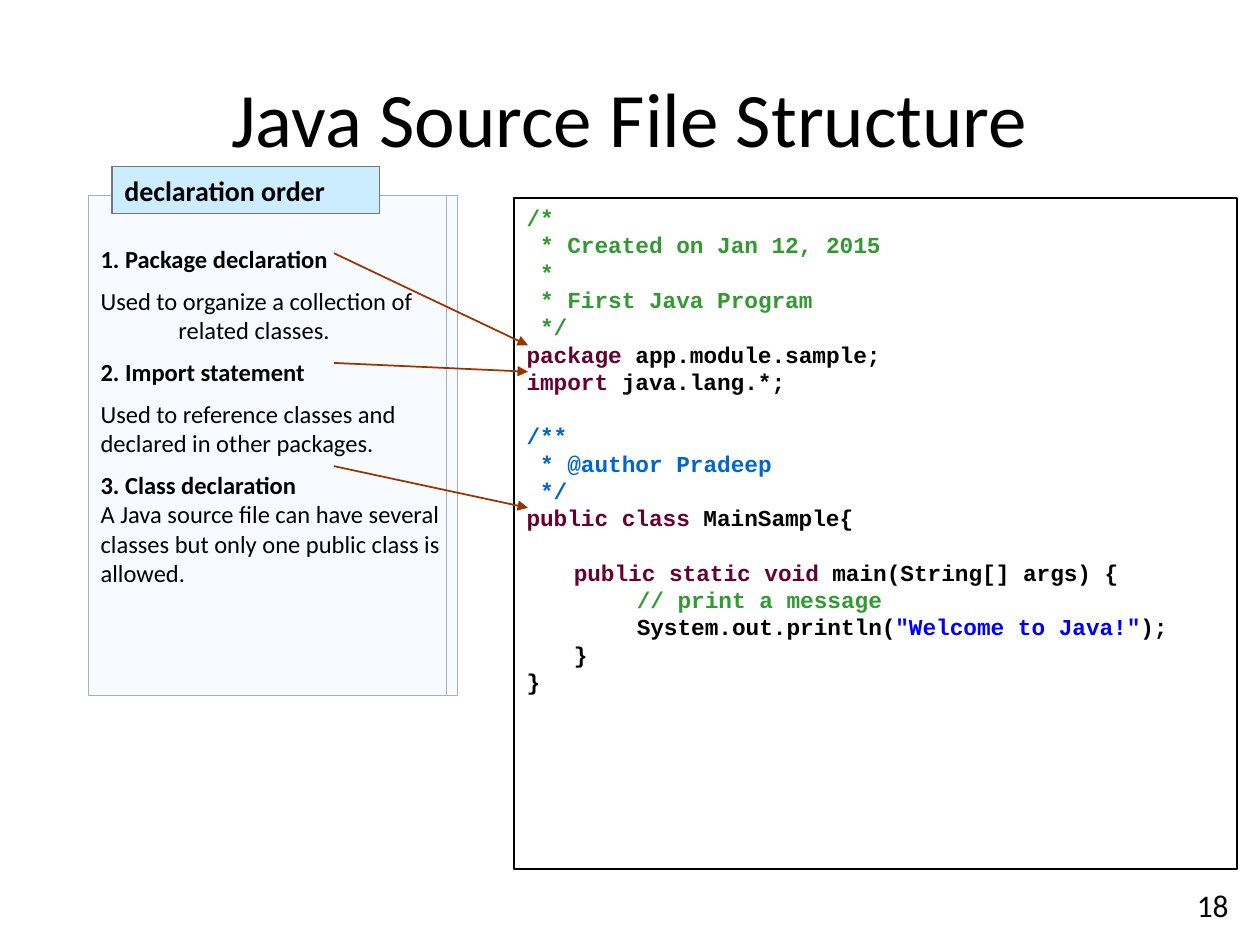
from dataclasses import dataclass

import lxml.etree
import pptx
import pptx.dml.color
import pptx.enum.shapes
import pptx.enum.text
import pptx.oxml.ns
import pptx.util

Pt = pptx.util.Pt
RGB = pptx.dml.color.RGBColor
Shape = pptx.enum.shapes.MSO_SHAPE
Align = pptx.enum.text.PP_ALIGN
Anchor = pptx.enum.text.MSO_ANCHOR
qn = pptx.oxml.ns.qn

BLACK = RGB(0x00, 0x00, 0x00)
GREEN = RGB(0x33, 0x99, 0x33)
PLUM = RGB(0x66, 0x00, 0x33)
AZURE = RGB(0x00, 0x66, 0xCC)
BLUE = RGB(0x00, 0x00, 0xFF)
PALE = RGB(0xF7, 0xFB, 0xFF)
SKY = RGB(0xCC, 0xEC, 0xFF)
LILAC = RGB(0xA6, 0xAD, 0xC4)
GREY = RGB(0x77, 0x77, 0x77)
RUST = RGB(0x99, 0x33, 0x00)

BODY_FONT, CODE_FONT = "Calibri", "Courier New"
CODE_PITCH = 15.6
ARROW_START, ARROW_END = 190.8, 301.7


@dataclass
class Span:
    text: str
    color: RGB = BLACK
    bold: bool = True


@dataclass
class Line:
    spans: list[Span]
    before: float = 0
    left: float = 0
    hanging: float = 0


@dataclass
class Panel:
    kind: Shape
    frame: tuple[float, float, float, float]
    fill: RGB | None
    outline: RGB
    weight: float


def code(*spans: Span, gap: bool = False) -> Line:
    return Line(list(spans), CODE_PITCH if gap else 0, 27, 27)


def note(text: str, bold: bool = False, before: float = 7, left: float = 0) -> Line:
    return Line([Span(text, bold=bold)], before, left)


def add_panel(page, panel: Panel):
    box = page.shapes.add_shape(panel.kind, *map(Pt, panel.frame))
    box.shadow.inherit = False
    if panel.fill is None:
        box.fill.background()
    else:
        box.fill.solid()
        box.fill.fore_color.rgb = panel.fill
    box.line.color.rgb = panel.outline
    box.line.width = Pt(panel.weight)
    return box


def write(box, lines: list[Line], font: str, size: float, align=Align.LEFT,
          anchor=Anchor.TOP, pitch: float | None = None) -> None:
    frame = box.text_frame
    frame.word_wrap = True
    frame.vertical_anchor = anchor
    for index, line in enumerate(lines):
        para = frame.paragraphs[0] if index == 0 else frame.add_paragraph()
        para.alignment = align
        para.space_before = Pt(line.before)
        if pitch:
            para.line_spacing = Pt(pitch)
        properties = para._p.get_or_add_pPr()
        properties.set("marL", str(Pt(line.left)))
        properties.set("indent", str(-Pt(line.hanging)))
        for span in line.spans:
            run = para.add_run()
            run.text = span.text
            run.font.color.rgb = span.color
            formats = {"name": font, "size": Pt(size), "bold": span.bold}
            for name, value in formats.items():
                setattr(run.font, name, value)


def add_arrow(page, start_y: float, end_y: float) -> None:
    arrow = page.shapes.add_connector(
        pptx.enum.shapes.MSO_CONNECTOR.STRAIGHT,
        Pt(ARROW_START), Pt(start_y), Pt(ARROW_END), Pt(end_y))
    arrow.line.color.rgb = RUST
    arrow.line.width = Pt(1)
    lxml.etree.SubElement(arrow.line._get_or_add_ln(), qn("a:tailEnd"), type="triangle")
    lxml.etree.SubElement(arrow._element.spPr, qn("a:effectLst"))


CODE = [
    code(Span("/*", GREEN)),
    code(Span(" * Created on Jan 12, 2015", GREEN)),
    code(Span(" *", GREEN)),
    code(Span(" * First Java Program", GREEN)),
    code(Span(" */", GREEN)),
    code(Span("package", PLUM), Span(" app.module.sample;")),
    code(Span("import", PLUM), Span(" java.lang.*;")),
    code(Span("/**", AZURE), gap=True),
    code(Span(" * @author Pradeep", AZURE)),
    code(Span(" */", AZURE)),
    code(Span("public class", PLUM), Span(" MainSample{")),
    code(Span("\tpublic static void", PLUM), Span(" main(String[] args) {"), gap=True),
    code(Span("\t\t// print a message", GREEN)),
    code(Span("\t\tSystem.out.println("), Span('"Welcome to Java!"', BLUE), Span(");")),
    code(Span("\t}")),
    code(Span("}")),
]

NOTES = [
    note("1. Package declaration", bold=True, before=0),
    note("Used to organize a collection of"),
    note("related classes.", before=0, left=44.5),
    note("2. Import statement", bold=True),
    note("Used to reference classes and declared in other packages."),
    note("3. Class declaration", bold=True),
    note("A Java source file can have several classes but only one public class is allowed.",
         before=0),
]


def main() -> None:
    deck = pptx.Presentation()
    deck.slide_width, deck.slide_height = Pt(720), Pt(540)
    page = deck.slides.add_slide(deck.slide_layouts[5])

    # Title
    title = page.shapes.title
    title_frame = {"left": 36, "top": 21.6, "width": 648, "height": 90}
    for name, value in title_frame.items():
        setattr(title, name, Pt(value))
    write(title, [note("Java Source File Structure", before=0)], BODY_FONT, 44,
          Align.CENTER, Anchor.MIDDLE)

    # Page number
    number = page.shapes.add_textbox(Pt(576), Pt(509.8), Pt(133.2), Pt(21.6))
    write(number, [note("18", before=0)], BODY_FONT, 18, Align.RIGHT, Anchor.BOTTOM)

    # Source code
    listing = add_panel(page, Panel(Shape.RECTANGLE, (293.8, 113, 413.3, 383.8),
                                    None, BLACK, 1))
    write(listing, CODE, CODE_FONT, 13, pitch=CODE_PITCH)

    # Explanation with accent bar
    callout = add_panel(page, Panel(Shape.LINE_CALLOUT_1_BORDER_AND_ACCENT_BAR,
                                    (50.4, 111.6, 211, 285.8), PALE, LILAC, 0.75))
    for index, value in enumerate((0.03, 0.97, 0.03, 0.97)):
        callout.adjustments[index] = value
    tint = callout._element.spPr.find(qn("a:solidFill"))[0]
    lxml.etree.SubElement(tint, qn("a:alpha"), val="90000")
    callout.text_frame.margin_top = Pt(28)
    write(callout, NOTES, BODY_FONT, 14)

    # Heading tab
    heading = add_panel(page, Panel(Shape.RECTANGLE, (64, 95, 152.7, 27),
                                    SKY, GREY, 0.75))
    write(heading, [note("declaration order", bold=True, before=0)], BODY_FONT, 16,
          anchor=Anchor.MIDDLE)

    # Arrows from each declaration to its code line
    for start_y, end_y in ((144.7, 197.3), (207.4, 212.4), (266.4, 290.2)):
        add_arrow(page, start_y, end_y)

    deck.save("out.pptx")


if __name__ == "__main__":
    main()
